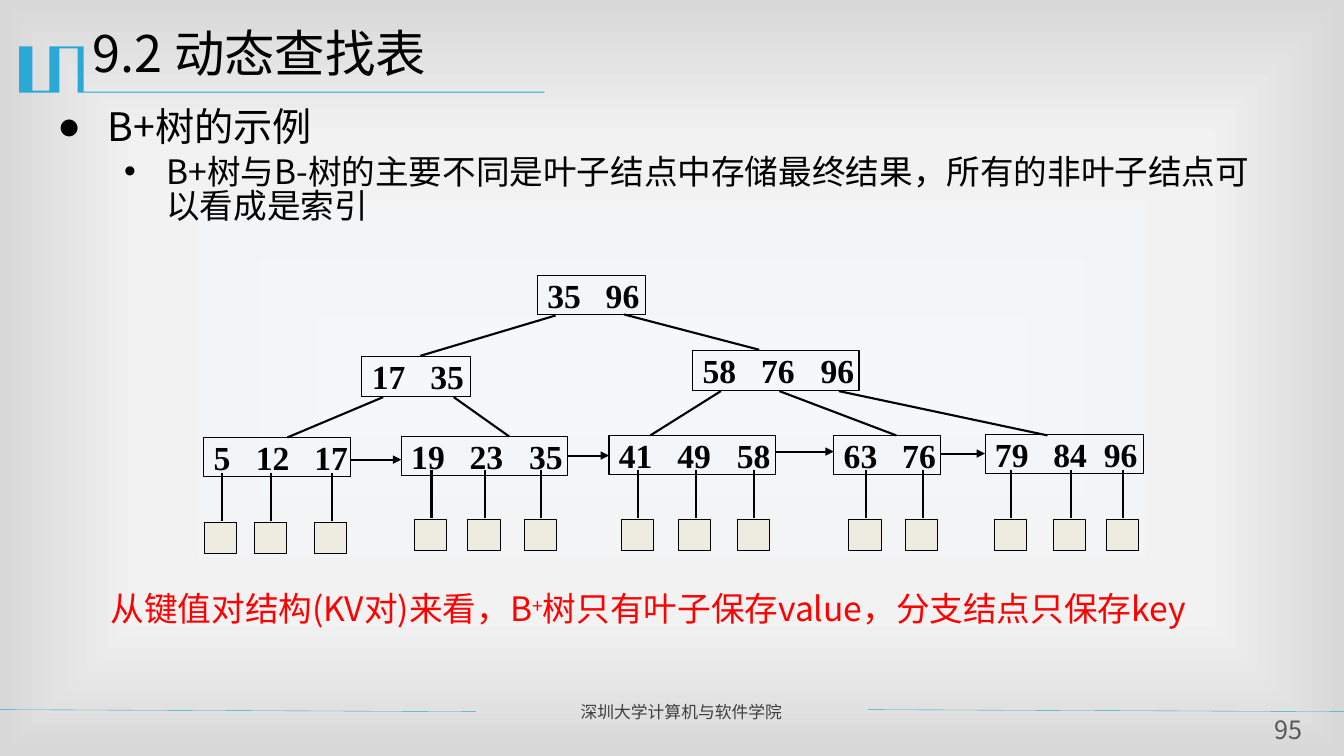
from lxml.etree import SubElement as Sub
from pptx import Presentation
from pptx.dml.color import RGBColor as RGB
from pptx.enum.shapes import MSO_CONNECTOR as Conn, MSO_SHAPE as Kind
from pptx.enum.text import MSO_ANCHOR as Anchor, MSO_AUTO_SIZE as Auto, PP_ALIGN as Align
from pptx.oxml.ns import qn
from pptx.util import Inches, Pt

COLORS = {"blue": "28A9D6", "black": "000000", "red": "FF0000", "cell": "EEECE1",
          "foot": "3F3F3F", "page": "595959"}
STOPS = [(0, "F4F8FB"), (63, "F2F2F2"), (100, "D8D8D8")]
SANS, SERIF = "Noto Sans CJK SC", "Times New Roman"

TITLE = "9.2 动态查找表"
BODY = [
    ("B+树的示例", 0, 28, "●", 0.5, 0.5, 0),
    ("B+树与B-树的主要不同是叶子结点中存储最终结果，所有的非叶子结点可以看成是索引",
     1, 24, "•", 1.08, 0.42, 5),
]
NOTE = ["从键值对结构(KV对)来看，B", "+", "树只有叶子保存value，分支结点只保存key"]
FOOT = "深圳大学计算机与软件学院"
PAGE = "95"

LOGO = [(0.82, 0.46), (0.83, 0.46), (0.83, 0.91), (5.4, 0.91), (5.4, 0.92), (0.77, 0.92),
        (0.77, 0.48), (0.59, 0.48), (0.59, 0.92), (0.19, 0.92), (0.19, 0.46), (0.32, 0.46),
        (0.32, 0.9), (0.49, 0.9), (0.49, 0.46)]
RULES = [(-0.01, 7.04, 4.72, 7.06), (8.61, 7.04, 13.33, 7.06)]

PAIR, TRIO = [0.58], [0.58, 1.17]
INNER = [
    (5.33, 2.73, 1.07, [35, 96], PAIR),
    (3.59, 3.54, 1.08, [17, 35], PAIR),
    (6.87, 3.48, 1.65, [58, 76, 96], TRIO),
]
LEAVES = [
    (2.02, 4.34, 1.46, [5, 12, 17], [0.42, 1.0], [2.2, 2.69, 3.29]),
    (3.98, 4.33, 1.65, [19, 23, 35], TRIO, [4.28, 4.81, 5.37]),
    (6.04, 4.32, 1.65, [41, 49, 58], TRIO, [6.33, 6.9, 7.48]),
    (8.27, 4.32, 1.06, [63, 76], PAIR, [8.59, 9.15]),
    (9.77, 4.31, 1.57, [79, 84, 96], [0.58, 1.08], [10.03, 10.62, 11.14]),
]
EDGES = [
    (5.51, 3.13, 4.17, 3.53), (6.19, 3.12, 7.53, 3.47),
    (3.8, 3.94, 2.85, 4.34), (4.5, 3.94, 5.05, 4.33),
    (7.15, 3.88, 6.45, 4.32), (7.73, 3.88, 8.89, 4.32), (8.32, 3.88, 10.39, 4.32),
]
NEXT_Y = [4.56, 4.52, 4.48, 4.5]
NODE_H, CELL_W, CELL_H = 0.39, 0.32, 0.31


def style(para, size, color, face=SANS, bold=False):
    for run in para.runs:
        font = run.font
        font.size, font.bold, font.name = Pt(size), bold, face
        font.color.rgb = RGB.from_string(COLORS[color])
        Sub(font._element, qn("a:ea")).set("typeface", face)


def place(shape, *box):
    shape.left, shape.top, shape.width, shape.height = map(Inches, box)


def label(slide, box, text, size, color, align):
    frame = slide.shapes.add_textbox(*map(Inches, box)).text_frame
    frame.word_wrap = True
    para = frame.paragraphs[0]
    para.text, para.alignment = text, align
    style(para, size, color)
    return frame


def link(slide, ends, color="black", width=1.5, arrow=False):
    line = slide.shapes.add_connector(Conn.STRAIGHT, *map(Inches, ends))
    line.line.color.rgb = RGB.from_string(COLORS[color])
    line.line.width = Pt(width)
    props = line._element.spPr
    if arrow:
        Sub(props.find(qn("a:ln")), qn("a:tailEnd")).set("type", "triangle")
    Sub(props, qn("a:effectLst"))


def rect(slide, box, fill=None):
    shape = slide.shapes.add_shape(Kind.RECTANGLE, *map(Inches, box))
    shape.shadow.inherit = False
    if fill:
        shape.fill.solid()
        shape.fill.fore_color.rgb = RGB.from_string(COLORS[fill])
    else:
        shape.fill.background()
    shape.line.color.rgb = RGB.from_string(COLORS["black"])
    shape.line.width = Pt(0.75)
    return shape


def node(slide, left, top, width, keys, tabs):
    frame = rect(slide, (left, top, width, NODE_H)).text_frame
    frame.margin_top = frame.margin_bottom = frame.margin_right = 0
    frame.word_wrap, frame.vertical_anchor = True, Anchor.MIDDLE
    para = frame.paragraphs[0]
    para.text, para.alignment = "\t".join(map(str, keys)), Align.LEFT
    stops = Sub(para._p.get_or_add_pPr(), qn("a:tabLst"))
    for pos in tabs:
        tab = Sub(stops, qn("a:tab"))
        tab.set("pos", str(Inches(pos)))
        tab.set("algn", "l")
    style(para, 24, "black", SERIF, True)


def paint(slide):
    slide.background.fill.gradient()
    grad = slide.element.find(".//" + qn("a:gradFill"))
    for part in list(grad):
        grad.remove(part)
    stops = Sub(grad, qn("a:gsLst"))
    for pos, color in STOPS:
        stop = Sub(stops, qn("a:gs"))
        stop.set("pos", str(pos * 1000))
        Sub(stop, qn("a:srgbClr")).set("val", color)
    shade = Sub(grad, qn("a:path"))
    shade.set("path", "rect")
    focus = Sub(shade, qn("a:fillToRect"))
    for side in "ltrb":
        focus.set(side, "50000")


def frame_slide(slide):
    pts = [(Inches(x), Inches(y)) for x, y in LOGO]
    pen = slide.shapes.build_freeform(*pts[0], scale=1.0)
    pen.add_line_segments(pts[1:], close=True)
    logo = pen.convert_to_shape()
    logo.shadow.inherit = False
    logo.fill.solid()
    logo.fill.fore_color.rgb = RGB.from_string(COLORS["blue"])
    logo.line.fill.background()
    for ends in RULES:
        link(slide, ends, "blue", 0.25)
    label(slide, (5.66, 6.91, 2.85, 0.3), FOOT, 12, "foot", Align.JUSTIFY)
    page = label(slide, (12.48, 7.09, 0.59, 0.31), PAGE, 18, "page", Align.CENTER)
    page.margin_left = page.margin_right = page.margin_top = page.margin_bottom = 0


def write(slide):
    title, body = slide.shapes.title, slide.placeholders[1]
    place(title, 0.82, 0.24, 12, 0.87)
    frame = title.text_frame
    frame.text, frame.vertical_anchor, frame.auto_size = TITLE, Anchor.TOP, Auto.NONE
    para = frame.paragraphs[0]
    para.alignment, para.line_spacing = Align.LEFT, 0.9
    style(para, 36, "black")

    place(body, 0.47, 1.04, 12.13, 1.55)
    frame = body.text_frame
    frame.text = "\n".join(item[0] for item in BODY)
    frame.auto_size = Auto.NONE
    for para, (_, level, size, mark, indent, hang, gap) in zip(frame.paragraphs, BODY):
        para.level, para.line_spacing, para.space_before = level, 0.85, Pt(gap)
        props = para._p.get_or_add_pPr()
        props.set("marL", str(Inches(indent)))
        props.set("indent", str(-Inches(hang)))
        Sub(props, qn("a:buFont")).set("typeface", "Arial")
        Sub(props, qn("a:buChar")).set("char", mark)
        style(para, size, "black")

    frame = label(slide, (1, 5.88, 11.4, 0.46), NOTE[0], 24, "red", Align.LEFT)
    para = frame.paragraphs[0]
    para.line_spacing = 0.75
    for text in NOTE[1:]:
        para.add_run().text = text
    style(para, 24, "red")
    para.runs[1].font._element.set("baseline", "26000")


def grow(slide):
    for item in INNER:
        node(slide, *item)
    for ends in EDGES:
        link(slide, ends)
    for i, (left, top, width, keys, tabs, stems) in enumerate(LEAVES):
        node(slide, left, top, width, keys, tabs)
        base = 5.17 if i == 0 else 5.14
        for x in stems:
            link(slide, (x, base - 0.48, x, base))
            rect(slide, (x - 0.17, base + 0.01, CELL_W, CELL_H), "cell")
    for one, two, y in zip(LEAVES, LEAVES[1:], NEXT_Y):
        link(slide, (one[0] + one[2], y, two[0], y), arrow=True)


def main():
    deck = Presentation()
    deck.slide_width, deck.slide_height = Inches(13.33), Inches(7.5)
    slide = deck.slides.add_slide(deck.slide_layouts[1])
    paint(slide)
    frame_slide(slide)
    write(slide)
    grow(slide)
    deck.save("out.pptx")


if __name__ == "__main__":
    main()
